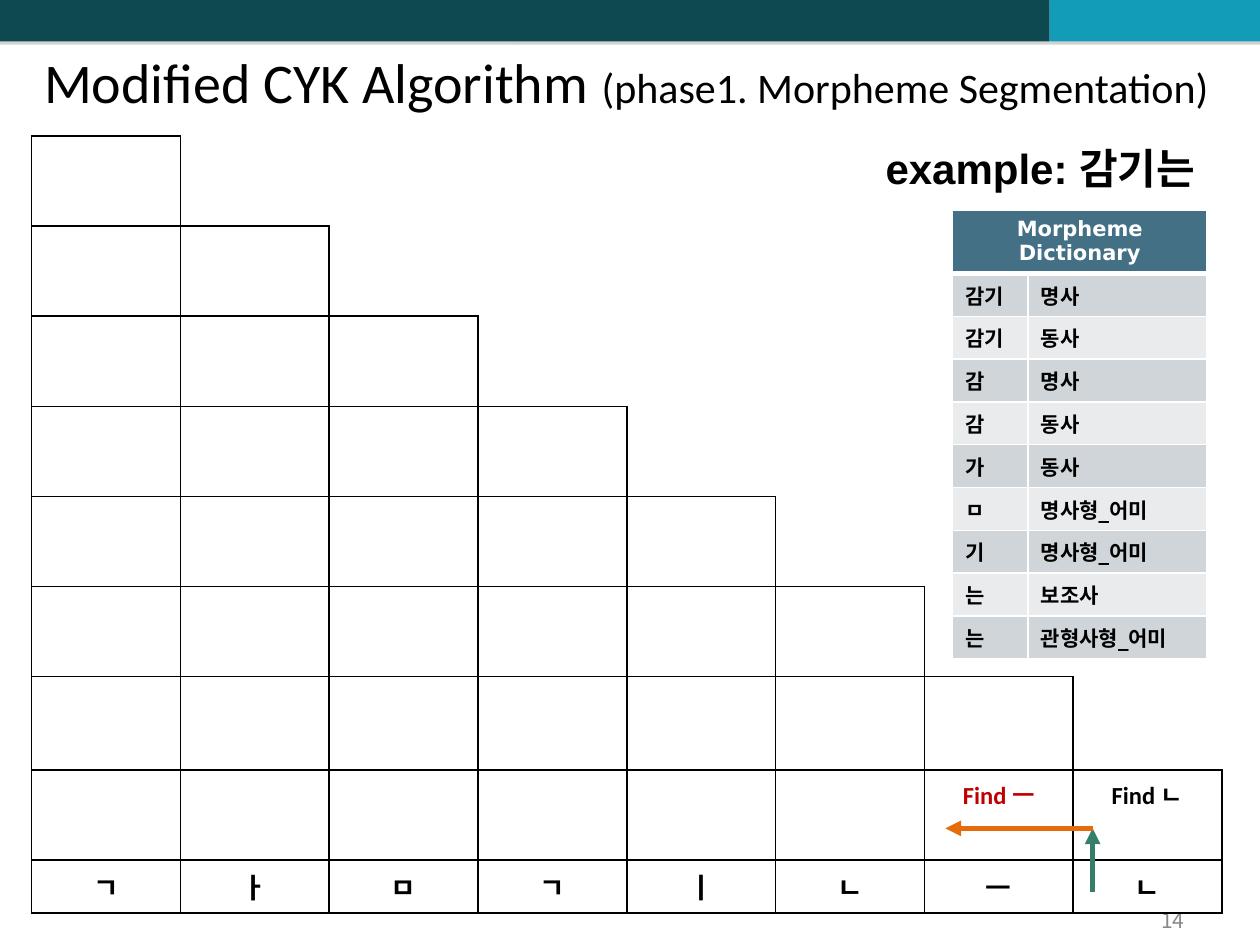
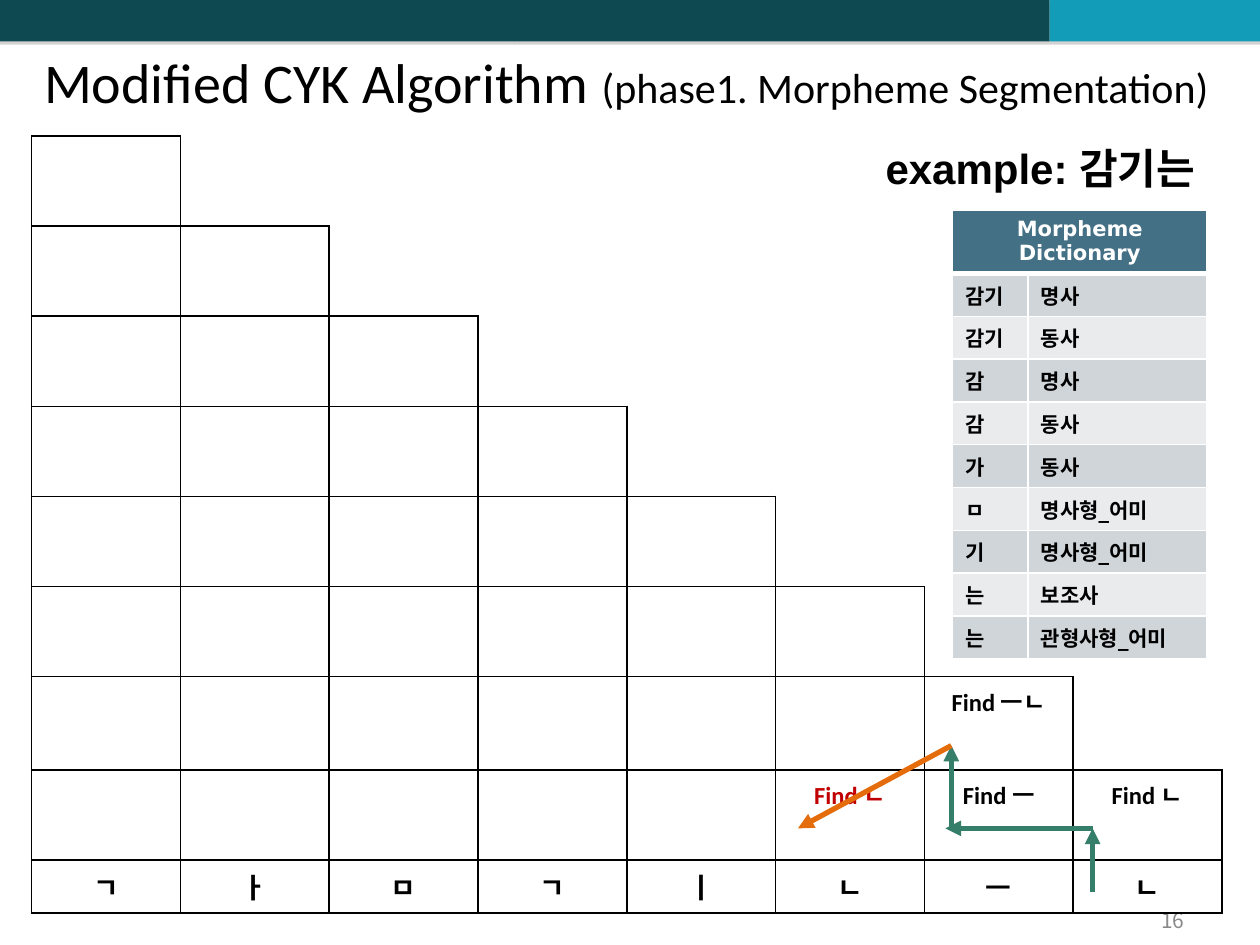
from itertools import accumulate

from lxml import etree
from pptx import Presentation
from pptx import util as u
from pptx.dml.color import RGBColor
from pptx.enum import shapes, text
from pptx.oxml.ns import qn

WIDTH, HEIGHT = 10, 7.5
BLACK, WHITE, GREY = "000000", "FFFFFF", "898989"
DARK_TEAL, CYAN = "0E4851", "139CB7"
HEADER_BLUE, ODD_ROW, EVEN_ROW = "437085", "CFD5D9", "E9EBED"
RED, GREEN, ORANGE = "C00000", "357E69", "E46C0A"
KOREAN = "Noto Sans CJK KR"

CHART_LEFT, CHART_TOP, CHART_WIDTH = 0.25, 1.08, 9.45
JAMO = "ㄱㅏㅁㄱㅣㄴㅡㄴ"
CELL_WIDTH = CHART_WIDTH / len(JAMO)
ROW_HEIGHTS = [0.715] * 6 + [0.74, 0.715, 0.42]
ROW_TOPS = list(accumulate(ROW_HEIGHTS, initial=CHART_TOP))

MORPHEMES = [
    ("감기", "명사"), ("감기", "동사"), ("감", "명사"), ("감", "동사"), ("가", "동사"),
    ("ㅁ", "명사형_어미"), ("기", "명사형_어미"), ("는", "보조사"), ("는", "관형사형_어미"),
]

FIRST_UP = ((7.13, 8.6), (7.13, 7.65))
FIRST_LEFT = ((7.13, 7.65), (6.14, 7.65))
SECOND_UP = ((6.18, 7.65), (6.18, 6.74))
SECOND_LEFT = ((6.18, 6.74), (5.15, 7.65))
STEPS = [
    ("14",
     {(7, 6): ("Find ㅡ", RED), (7, 7): ("Find ㄴ", BLACK)},
     [(FIRST_UP, GREEN), (FIRST_LEFT, ORANGE)]),
    ("16",
     {(6, 6): ("Find ㅡㄴ", BLACK), (7, 5): ("Find ㄴ", RED),
      (7, 6): ("Find ㅡ", BLACK), (7, 7): ("Find ㄴ", BLACK)},
     [(FIRST_UP, GREEN), (FIRST_LEFT, GREEN), (SECOND_UP, GREEN), (SECOND_LEFT, ORANGE)]),
]


def rgb(value):
    return RGBColor.from_string(value)


def inches(*lengths):
    return [u.Inches(length) for length in lengths]


def add_run(paragraph, words, size, font, color=BLACK, bold=False):
    run = paragraph.add_run()
    run.text = words
    run.font.size = u.Pt(size)
    run.font.name = font
    run.font.bold = bold
    run.font.color.rgb = rgb(color)
    etree.SubElement(run._r.get_or_add_rPr(), qn("a:ea"), typeface=KOREAN)


def set_borders(cell, borders):
    properties = cell._tc.get_or_add_tcPr()
    for side in "LRTB":
        color, weight = borders.get(side, (None, 1))
        line = etree.SubElement(properties, qn(f"a:ln{side}"), w=str(u.Pt(weight)))
        if color:
            fill = etree.SubElement(line, qn("a:solidFill"))
            etree.SubElement(fill, qn("a:srgbClr"), val=color)
        else:
            etree.SubElement(line, qn("a:noFill"))


def fill_cell(cell, color):
    if color:
        cell.fill.solid()
        cell.fill.fore_color.rgb = rgb(color)
    else:
        cell.fill.background()


def new_table(slide, left, top, widths, heights):
    frame = slide.shapes.add_table(
        len(heights), len(widths), *inches(left, top, sum(widths), sum(heights)))
    table = frame.table
    table.first_row = table.horz_banding = False
    for column, width in zip(table.columns, widths):
        column.width = u.Inches(width)
    for row, height in zip(table.rows, heights):
        row.height = u.Inches(height)
    return table


def add_bands(layout, slide):
    for index, (left, right, color) in enumerate([
            (0, 4.08, DARK_TEAL), (4.08, 8.33, DARK_TEAL), (8.33, WIDTH, CYAN)]):
        band = slide.shapes.add_shape(
            shapes.MSO_SHAPE.RECTANGLE, *inches(left, 0, right - left, 0.33))
        band.fill.solid()
        band.fill.fore_color.rgb = rgb(color)
        band.line.fill.background()
        effects = etree.SubElement(band.element.spPr, qn("a:effectLst"))
        shadow = etree.SubElement(effects, qn("a:outerShdw"), blurRad="0",
                                  dist=str(u.Pt(1.8)), dir="5400000", rotWithShape="0")
        tint = etree.SubElement(shadow, qn("a:srgbClr"), val="808080")
        etree.SubElement(tint, qn("a:alpha"), val="35000")
        layout.shapes.element.insert(2 + index, band.element)


def format_title(slide):
    title = slide.shapes.title
    title.left, title.top, title.width, title.height = inches(CHART_LEFT, 0.3, CHART_WIDTH, 0.78)
    frame = title.text_frame
    frame.word_wrap = True
    frame.auto_size = text.MSO_AUTO_SIZE.NONE
    frame.vertical_anchor = text.MSO_ANCHOR.TOP
    frame.margin_left, frame.margin_top, frame.margin_right = inches(0.1, 0.08, 0)
    paragraph = frame.paragraphs[0]
    paragraph.alignment = text.PP_ALIGN.LEFT
    add_run(paragraph, "Modified CYK Algorithm ", 32, "Calibri")
    add_run(paragraph, "(phase1. Morpheme Segmentation)", 24, "Calibri")


def add_label(slide, place, words, size, font, color=BLACK, bold=False,
              align=text.PP_ALIGN.LEFT, wrap=True):
    frame = slide.shapes.add_textbox(*inches(*place)).text_frame
    frame.word_wrap = wrap
    frame.vertical_anchor = text.MSO_ANCHOR.MIDDLE
    paragraph = frame.paragraphs[0]
    paragraph.alignment = align
    add_run(paragraph, words, size, font, color, bold)


def add_parse_chart(slide, findings):
    chart = new_table(slide, CHART_LEFT, CHART_TOP, [CELL_WIDTH] * len(JAMO), ROW_HEIGHTS)
    last = len(ROW_HEIGHTS) - 1
    for row in range(len(ROW_HEIGHTS)):
        for column, jamo in enumerate(JAMO):
            cell = chart.cell(row, column)
            sides = "LRTB" if column <= row else "LB" if column == row + 1 else ""
            set_borders(cell, {side: (BLACK, 1) for side in sides})
            fill_cell(cell, None)
            words, color = findings.get((row, column), (None, BLACK))
            if row == last:
                words = jamo
            if words:
                paragraph = cell.text_frame.paragraphs[0]
                paragraph.alignment = text.PP_ALIGN.CENTER
                add_run(paragraph, words, 16 if row == last else 14, "Calibri", color, True)


def add_dictionary(slide):
    heights = [0.48] + [0.34] * len(MORPHEMES)
    dictionary = new_table(slide, 7.56, 1.67, [0.6, 1.42], heights)
    dictionary.cell(0, 0).merge(dictionary.cell(0, 1))
    for row, entry in enumerate([("Morpheme Dictionary", "")] + MORPHEMES):
        header = row == 0
        borders = dict.fromkeys("LRTB", (WHITE, 1))
        if row < 2:
            borders["B" if header else "T"] = (WHITE, 3)
        for column, words in enumerate(entry):
            cell = dictionary.cell(row, column)
            set_borders(cell, borders)
            fill_cell(cell, HEADER_BLUE if header else ODD_ROW if row % 2 else EVEN_ROW)
            if words:
                paragraph = cell.text_frame.paragraphs[0]
                paragraph.alignment = text.PP_ALIGN.CENTER if header else text.PP_ALIGN.LEFT
                add_run(paragraph, words, 12, "DejaVu Sans", WHITE if header else BLACK, True)


def chart_point(column, row):
    whole = int(row)
    return inches(CHART_LEFT + column * CELL_WIDTH,
                  ROW_TOPS[whole] + (row - whole) * ROW_HEIGHTS[whole])


def add_arrow(slide, start, end, color):
    arrow = slide.shapes.add_connector(
        shapes.MSO_CONNECTOR.STRAIGHT, *chart_point(*start), *chart_point(*end))
    arrow.line.color.rgb = rgb(color)
    arrow.line.width = u.Pt(3)
    etree.SubElement(arrow.line._get_or_add_ln(), qn("a:tailEnd"), type="triangle")
    etree.SubElement(arrow.element.spPr, qn("a:effectLst"))


def main():
    deck = Presentation()
    deck.slide_width, deck.slide_height = inches(WIDTH, HEIGHT)
    layout = deck.slide_layouts[5]
    for index, (number, findings, arrows) in enumerate(STEPS):
        slide = deck.slides.add_slide(layout)
        if index == 0:
            add_bands(layout, slide)
        format_title(slide)
        add_label(slide, (7.17, 7.17, 2.33, 0.27), number, 12, KOREAN, GREY,
                  align=text.PP_ALIGN.RIGHT)
        add_parse_chart(slide, findings)
        add_dictionary(slide)
        add_label(slide, (6.93, CHART_TOP, 2.77, 0.5), "example: 감기는", 24, "Arial",
                  bold=True, wrap=False)
        for (start, end), color in arrows:
            add_arrow(slide, start, end, color)
    deck.save("out.pptx")


if __name__ == "__main__":
    main()
